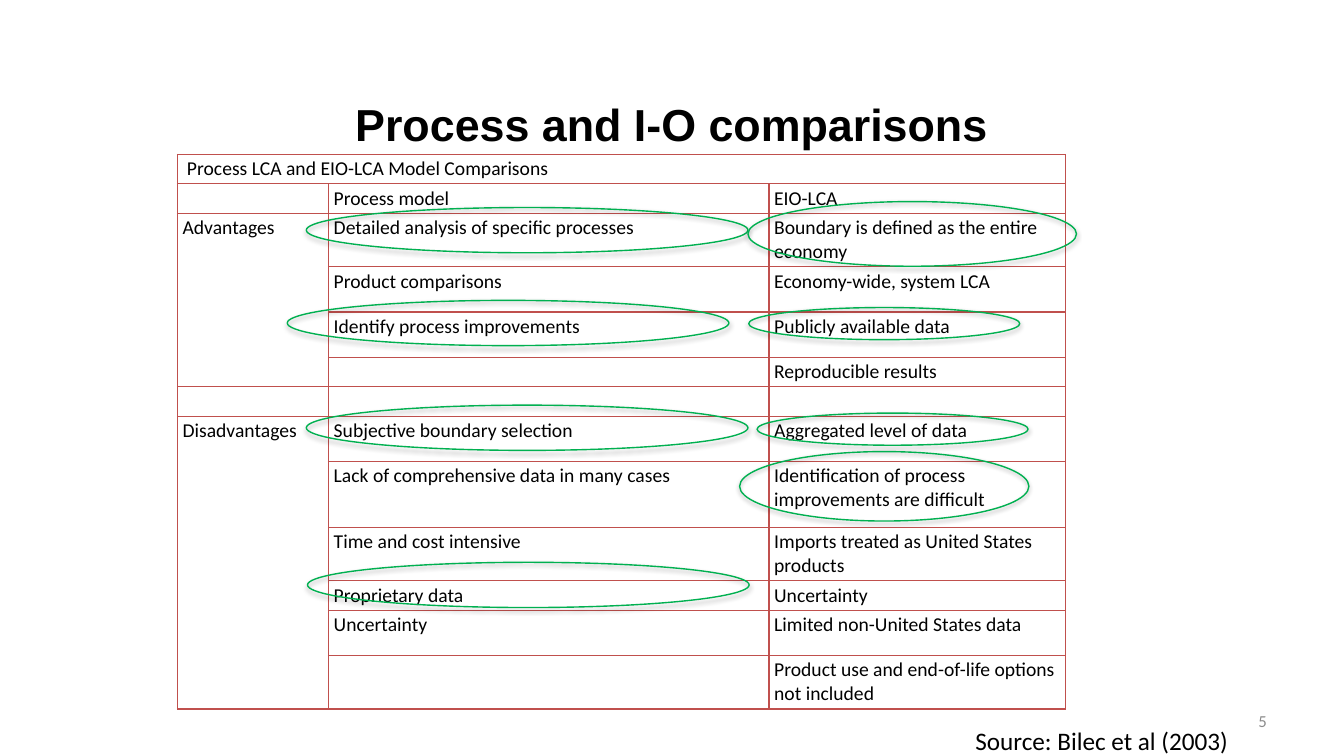
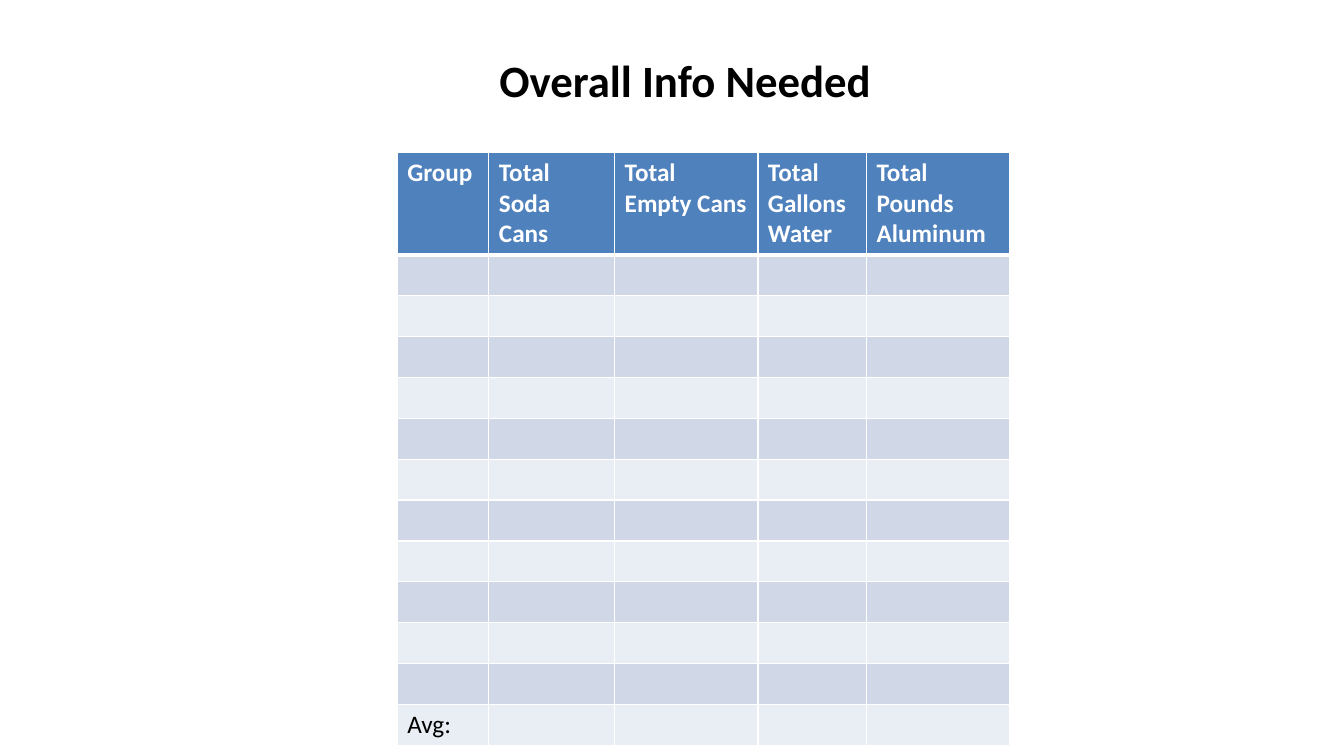
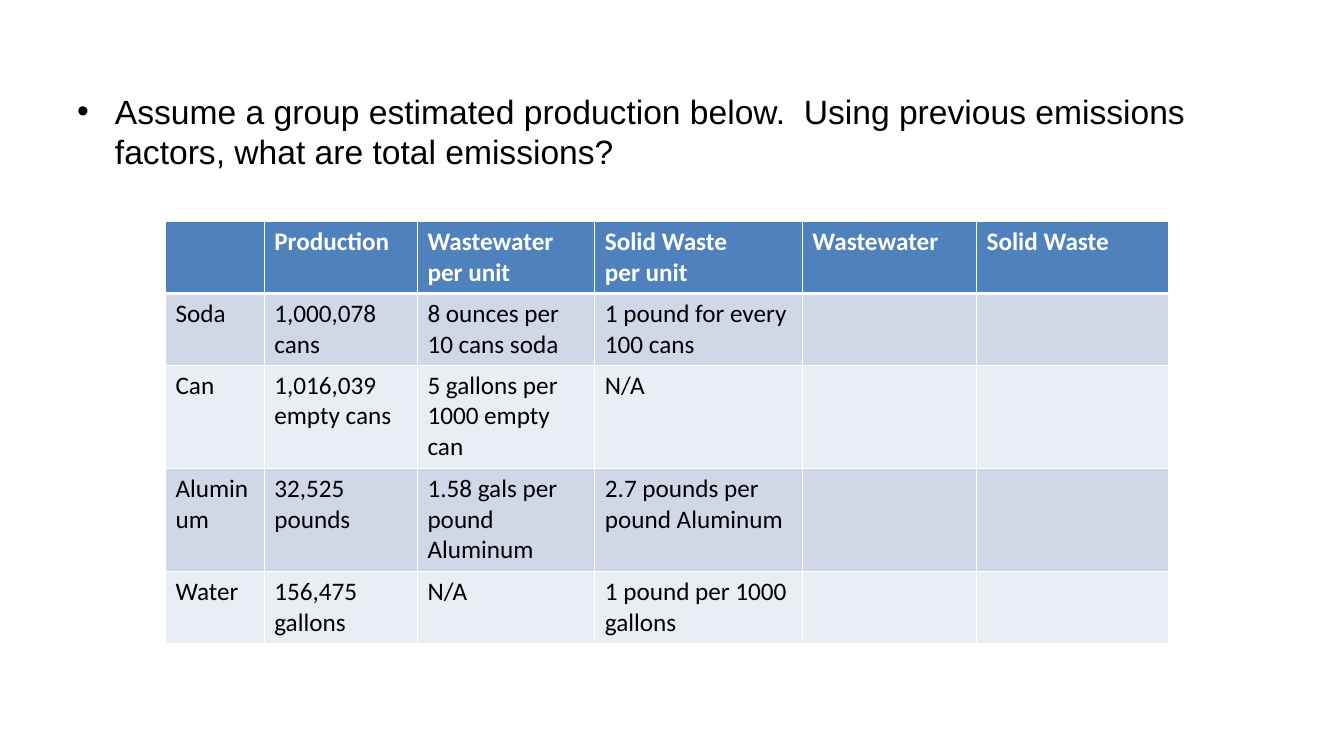
import pptx
import pptx.dml.color
import pptx.enum.shapes
import pptx.enum.text
import pptx.oxml.ns
import pptx.util
from lxml import etree

Cm = pptx.util.Cm
Pt = pptx.util.Pt
qn = pptx.oxml.ns.qn
ALIGN = pptx.enum.text.PP_ALIGN
ANCHOR = pptx.enum.text.MSO_ANCHOR

# Shared look
BLACK, WHITE, GREY = "000000", "FFFFFF", "8C8C8C"
RED, GREEN, BLUE = "C0504D", "00B050", "4F81BD"
BANDS = ("D0D8E8", "E9EDF4")
BODY_FONT, HEAD_FONT = "Calibri", "Arial"
TITLE_ONLY, TITLE_CONTENT = 5, 1

# Slide 1 content
MODEL_ROWS = [
    ("\N{NO-BREAK SPACE}Process LCA and EIO-LCA Model Comparisons", "", ""),
    ("", "Process model", "EIO-LCA"),
    ("Advantages", "Detailed analysis of specific processes",
     "Boundary is defined as the entire economy"),
    ("", "Product comparisons", "Economy-wide, system LCA"),
    ("", "Identify process improvements", "Publicly available data"),
    ("", "", "Reproducible results"),
    ("", "", ""),
    ("Disadvantages", "Subjective boundary selection", "Aggregated level of data"),
    ("", "Lack of comprehensive data in many cases",
     "Identification of process improvements are difficult"),
    ("", "Time and cost intensive", "Imports treated as United States products"),
    ("", "Proprietary data", "Uncertainty"),
    ("", "Uncertainty", "Limited non-United States data"),
    ("", "", "Product use and end-of-life options not included"),
]
MODEL_HEIGHTS = [0.74, 0.74, 1.35, 1.14, 1.14, 0.74, 0.74,
                 1.14, 1.66, 1.35, 0.74, 1.14, 1.35]
MODEL_MERGES = [((0, 0), (0, 2)), ((2, 0), (5, 0)), ((7, 0), (12, 0))]
WIDE, NARROW = (11.13, 1.14), (6.83, 0.81)
HIGHLIGHTS = [
    (7.72, 5.23, *WIDE), (19.08, 10.41, *NARROW),
    (7.24, 7.57, *WIDE), (18.64, 11.38, 7.29, 1.75),
    (7.72, 10.21, *WIDE), (18.85, 5.08, 8.28, 1.63),
    (7.75, 14.17, *WIDE), (18.87, 7.75, *NARROW),
]

# Slide 2 content
GROUP_HEADER = ("Group", "Total Soda Cans", "Total Empty Cans",
                "Total Gallons Water", "Total Pounds Aluminum")
GROUP_ROWS = [GROUP_HEADER] + [("",) * 5] * 11 + [("Avg:", "", "", "", "")]

# Slide 3 content
EMISSION_ROWS = [
    ("", "Production", "Wastewater\nper unit", "Solid Waste\nper unit",
     "Wastewater", "Solid Waste"),
    ("Soda", "1,000,078\ncans", "8 ounces per 10 cans soda",
     "1 pound for every 100 cans", "", ""),
    ("Can", "1,016,039 empty cans", "5 gallons per 1000 empty can", "N/A", "", ""),
    ("Aluminum", "32,525\npounds", "1.58 gals per pound Aluminum",
     "2.7 pounds per pound Aluminum", "", ""),
    ("Water", "156,475 gallons", "N/A", "1 pound per 1000 gallons", "", ""),
]


def color(value):
    return pptx.dml.color.RGBColor.from_string(value)


def write(frame, text, size, font=BODY_FONT, ink=BLACK, bold=False, align=None):
    frame.text = text
    for para in frame.paragraphs:
        para.alignment = align
        for span in para.runs:
            span.font.size = Pt(size)
            span.font.name = font
            span.font.bold = bold
            span.font.color.rgb = color(ink)
        if not para.runs:
            # Keeps empty rows as low as the text size allows
            etree.SubElement(para._p, qn("a:endParaRPr"), sz=str(size * 100))


def place(shape, left, top, width, height):
    shape.left, shape.top = Cm(left), Cm(top)
    shape.width, shape.height = Cm(width), Cm(height)


def add_titled_slide(deck, text, box, font):
    page = deck.slides.add_slide(deck.slide_layouts[TITLE_ONLY])
    title = page.shapes.title
    place(title, *box)
    title.text_frame.vertical_anchor = ANCHOR.MIDDLE
    write(title.text_frame, text, 32, font, bold=True, align=ALIGN.CENTER)
    return page


def add_label(page, text, box, size, ink=BLACK, align=None, anchor=ANCHOR.TOP):
    label = page.shapes.add_textbox(*map(Cm, box))
    label.text_frame.word_wrap = True
    label.text_frame.vertical_anchor = anchor
    write(label.text_frame, text, size, ink=ink, align=align)


def set_borders(cell, ink, top=1, bottom=1):
    properties = cell._tc.get_or_add_tcPr()
    sides = (("L", 1), ("R", 1), ("T", top), ("B", bottom))
    for index, (side, points) in enumerate(sides):
        line = etree.Element(qn("a:ln" + side), w=str(Pt(points)))
        fill = etree.SubElement(line, qn("a:solidFill"))
        etree.SubElement(fill, qn("a:srgbClr"), val=ink)
        properties.insert(index, line)


def add_grid(page, rows, left, top, widths, heights):
    table = page.shapes.add_table(
        len(rows), len(widths), Cm(left), Cm(top),
        Cm(sum(widths)), Cm(sum(heights))).table
    for column, width in zip(table.columns, widths):
        column.width = Cm(width)
    for row, height in zip(table.rows, heights):
        row.height = Cm(height)
    return table


def add_outlined_table(page, rows, merges, *layout):
    table = add_grid(page, rows, *layout)
    table.first_row = table.horz_banding = False
    for r, texts in enumerate(rows):
        for c, text in enumerate(texts):
            cell = table.cell(r, c)
            cell.margin_left = cell.margin_right = Cm(0.13)
            cell.margin_top = cell.margin_bottom = Cm(0.07)
            cell.vertical_anchor = ANCHOR.BOTTOM if r == 1 else ANCHOR.TOP
            write(cell.text_frame, text, 14)
            cell.fill.background()
            set_borders(cell, RED)
    for first, last in merges:
        table.cell(*first).merge(table.cell(*last))


def add_banded_table(page, rows, *layout):
    table = add_grid(page, rows, *layout)
    for r, texts in enumerate(rows):
        header = r == 0
        for c, text in enumerate(texts):
            cell = table.cell(r, c)
            write(cell.text_frame, text, 18, ink=WHITE if header else BLACK, bold=header)
            cell.fill.solid()
            cell.fill.fore_color.rgb = color(BLUE if header else BANDS[(r - 1) % 2])
            set_borders(cell, WHITE, top=3 if r == 1 else 1, bottom=3 if header else 1)


def add_highlight(page, box):
    oval = page.shapes.add_shape(pptx.enum.shapes.MSO_SHAPE.OVAL, *map(Cm, box))
    oval.fill.background()
    oval.line.color.rgb = color(GREEN)
    oval.line.width = Pt(1)
    # Soft shadow straight below
    oval.shadow.inherit = False
    effects = oval._element.spPr.find(qn("a:effectLst"))
    shadow = etree.SubElement(effects, qn("a:outerShdw"), blurRad="40000",
                              dist="23000", dir="5400000", rotWithShape="0")
    tint = etree.SubElement(shadow, qn("a:srgbClr"), val=BLACK)
    etree.SubElement(tint, qn("a:alpha"), val="35000")


def build_comparison(deck):
    page = add_titled_slide(deck, "Process and I-O comparisons",
                            (1.69, 1.63, 30.48, 2.97), HEAD_FONT)
    add_outlined_table(page, MODEL_ROWS, MODEL_MERGES, 4.47, 3.89,
                       [3.81, 11.1, 7.47], MODEL_HEIGHTS)
    add_label(page, "Source: Bilec et al (2003)", (24.33, 18.16, 9.53, 1.02), 18)
    add_label(page, "5", (24.28, 17.65, 7.9, 1.02), 12, GREY, ALIGN.RIGHT, ANCHOR.MIDDLE)
    for box in HIGHLIGHTS:
        add_highlight(page, box)


def build_group_info(deck):
    page = add_titled_slide(deck, "Overall Info Needed",
                            (5.94, 0.64, 22.66, 2.74), BODY_FONT)
    add_banded_table(page, GROUP_ROWS, 10.01, 3.84,
                     [2.31, 3.17, 3.61, 2.74, 3.61], [2.54] + [1.03] * 12)


def build_emissions(deck):
    page = deck.slides.add_slide(deck.slide_layouts[TITLE_CONTENT])
    title = page.shapes.title._element
    title.getparent().remove(title)
    body = page.placeholders[1]
    place(body, 1.69, 2.16, 30.48, 8.61)
    write(body.text_frame, "Assume a group estimated production below.  Using previous "
          "emissions factors, what are total emissions?", 24, HEAD_FONT)
    add_banded_table(page, EMISSION_ROWS, 4.17, 5.59,
                     [2.49, 3.86, 4.47, 5.23, 4.39, 4.83],
                     [1.8, 1.8, 2.6, 2.6, 1.8])


def main():
    deck = pptx.Presentation()
    deck.slide_width, deck.slide_height = Cm(33.87), Cm(19.05)
    build_comparison(deck)
    build_group_info(deck)
    build_emissions(deck)
    deck.save("out.pptx")


if __name__ == "__main__":
    main()
